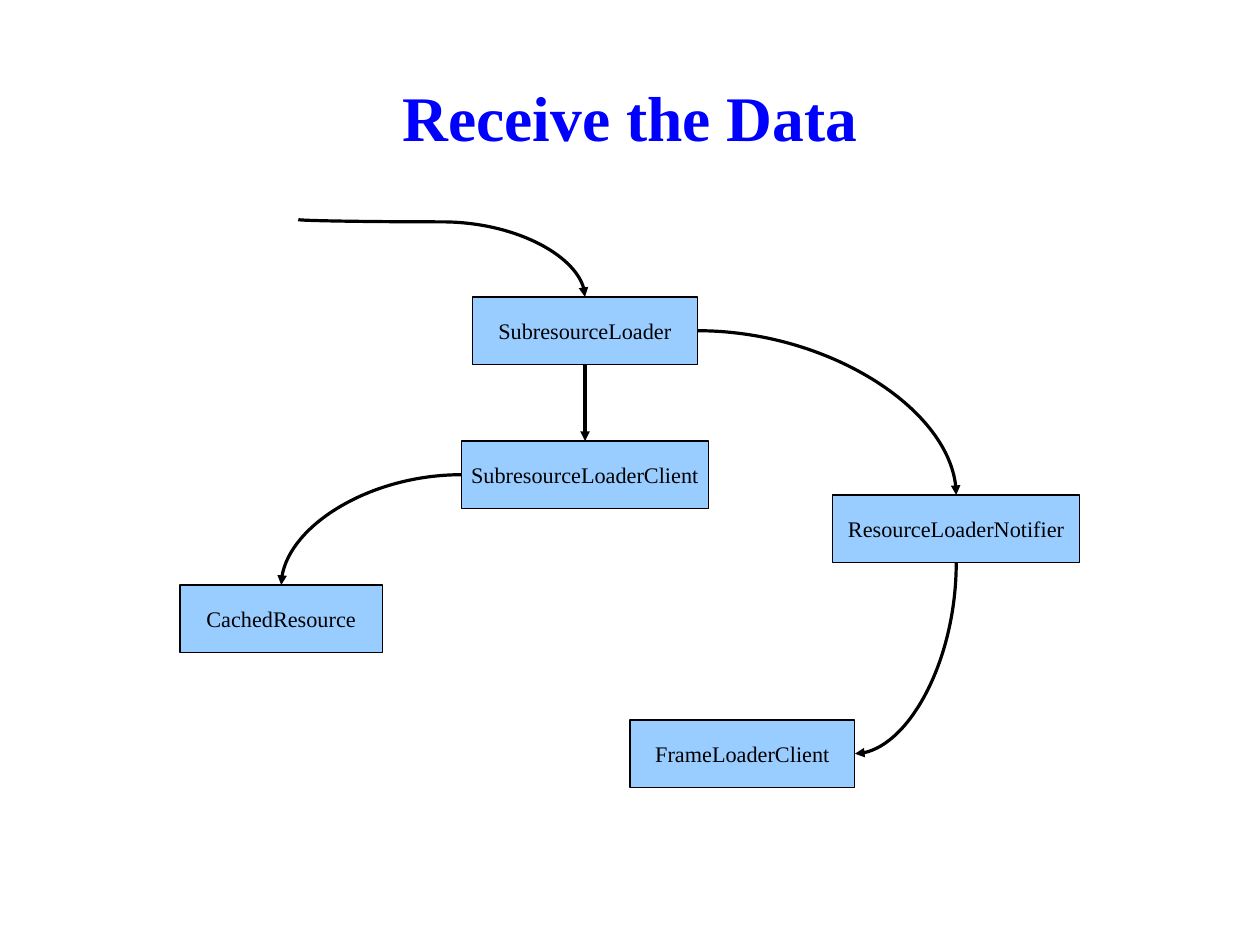
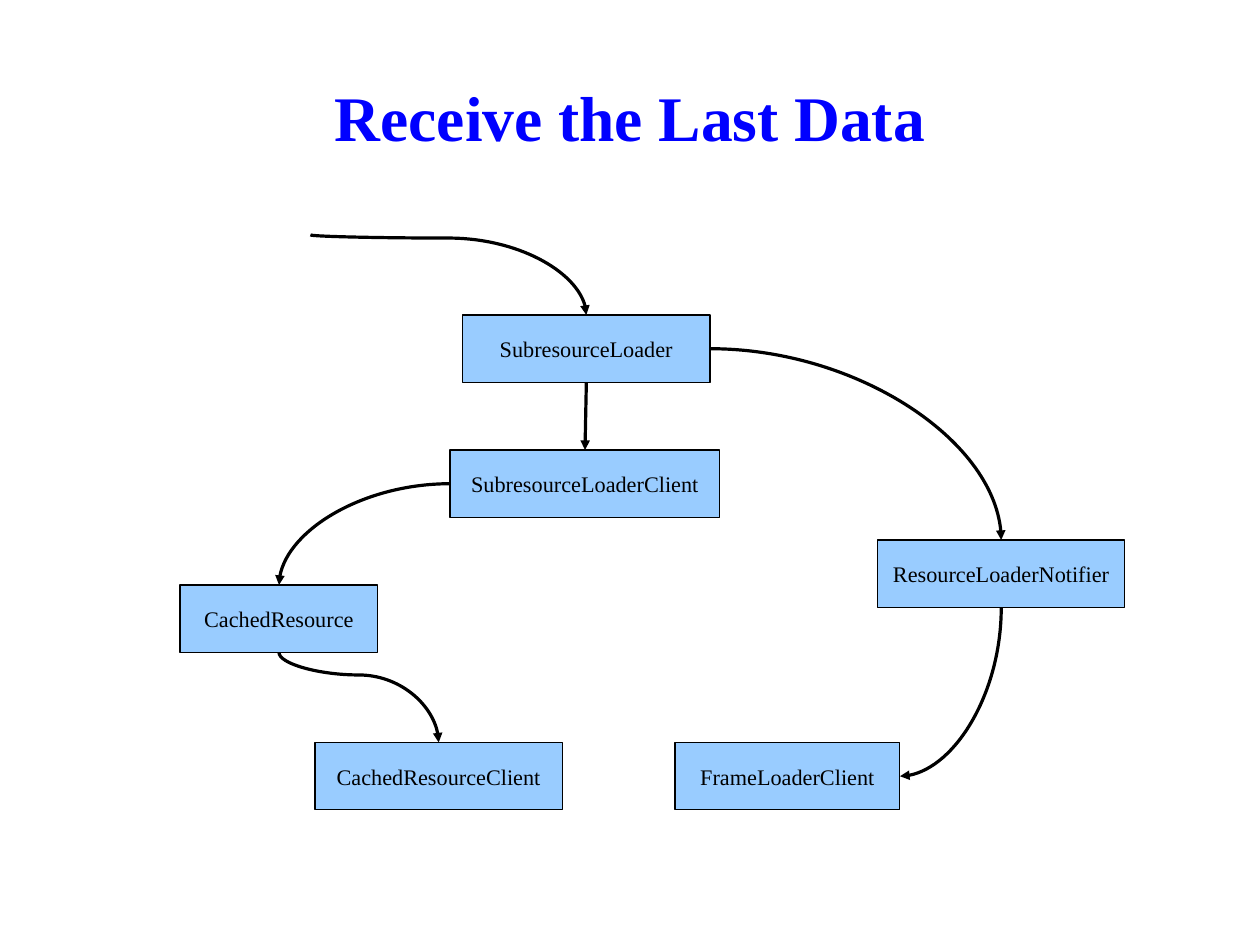
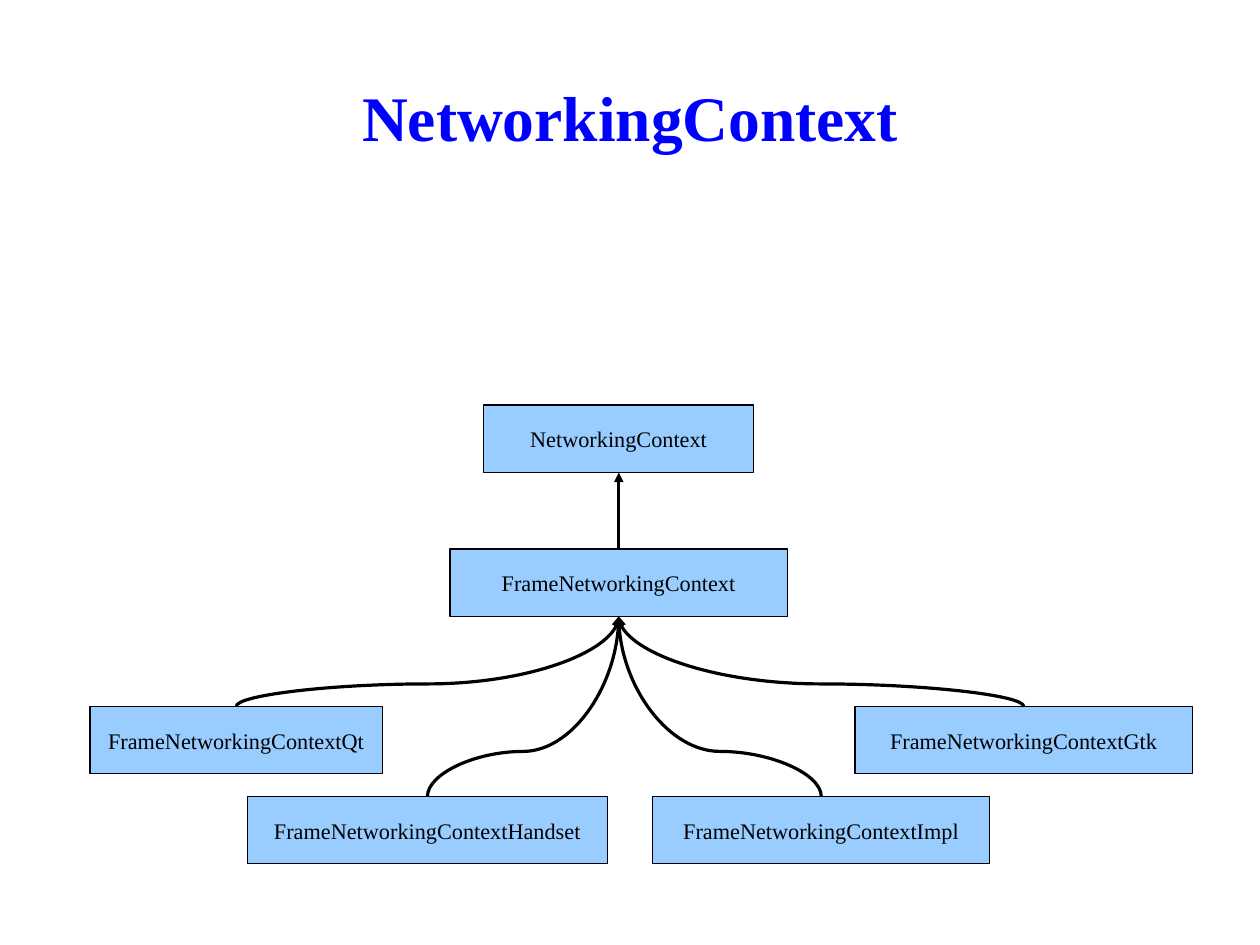
from dataclasses import dataclass
from enum import IntEnum

from lxml.etree import SubElement
from pptx import Presentation
from pptx.dml.color import RGBColor
from pptx.enum.shapes import MSO_CONNECTOR, MSO_SHAPE
from pptx.enum.text import MSO_ANCHOR, MSO_AUTO_SIZE, PP_ALIGN
from pptx.oxml.ns import qn
from pptx.util import Cm, Pt


@dataclass(frozen=True)
class Theme:
    """Colours, type and common measures of the deck."""
    background: RGBColor = RGBColor(0xFF, 0xFF, 0xFF)
    title_color: RGBColor = RGBColor(0x00, 0x00, 0xFF)
    box_fill: RGBColor = RGBColor(0x99, 0xCC, 0xFF)
    ink: RGBColor = RGBColor(0x00, 0x00, 0x00)
    font: str = "Times New Roman"
    title_size: Pt = Pt(40)
    box_size: Pt = Pt(14)
    hairline: Pt = Pt(0)
    box_height: Cm = Cm(1.5)


class Side(IntEnum):
    """Connection sites of a rectangle."""
    TOP = 0
    LEFT = 1
    BOTTOM = 2
    RIGHT = 3


class DiagramDeck:
    """Draws titled diagram slides in one style."""

    def __init__(self, theme):
        """Open an empty deck of the right size."""
        self.theme = theme
        self.deck = Presentation()
        self.deck.slide_width, self.deck.slide_height = Cm(28), Cm(21)
        self.page = None

    def add_page(self, title):
        """Start a slide with a centred title."""
        layout = self.deck.slide_layouts.get_by_name("Title Only")
        self.page = self.deck.slides.add_slide(layout)
        background = self.page.background.fill
        background.solid()
        background.fore_color.rgb = self.theme.background
        box = self.page.shapes.title
        box.left, box.top, box.width, box.height = Cm(1.4), Cm(0.84), Cm(25.2), Cm(3.5)
        frame = box.text_frame
        frame.margin_left = frame.margin_right = frame.margin_top = frame.margin_bottom = 0
        self.set_text(frame, title, self.theme.title_size, self.theme.title_color, bold=True)

    def set_text(self, frame, text, size, color, bold=False):
        """Write one centred line into a text frame."""
        frame.text = text
        frame.auto_size = MSO_AUTO_SIZE.NONE
        frame.vertical_anchor = MSO_ANCHOR.MIDDLE
        para = frame.paragraphs[0]
        para.alignment = PP_ALIGN.CENTER
        for span in para.runs:
            span.font.name = self.theme.font
            span.font.size = size
            span.font.bold = bold
            span.font.color.rgb = color

    def add_box(self, text, left, top, width):
        """Add a class box; lengths are in centimetres."""
        box = self.page.shapes.add_shape(
            MSO_SHAPE.RECTANGLE, Cm(left), Cm(top), Cm(width), self.theme.box_height)
        box.shadow.inherit = False
        box.fill.solid()
        box.fill.fore_color.rgb = self.theme.box_fill
        self.style_line(box.line)
        box.text_frame.word_wrap = False
        self.set_text(box.text_frame, text, self.theme.box_size, self.theme.ink)
        return box

    def style_line(self, line):
        """Give a line the deck's colour and width."""
        line.color.rgb = self.theme.ink
        line.width = self.theme.hairline

    def add_arrow(self, start, start_side, end, end_side, kind=MSO_CONNECTOR.STRAIGHT):
        """Join two boxes, or a point and a box, with an arrow."""
        begin_x, begin_y = start if start_side is None else (start.left, start.top)
        arrow = self.page.shapes.add_connector(kind, begin_x, begin_y, end.left, end.top)
        if start_side is not None:
            arrow.begin_connect(start, start_side)
        arrow.end_connect(end, end_side)
        self.style_line(arrow.line)
        properties = arrow._element.spPr
        SubElement(properties.find(qn("a:ln")), qn("a:tailEnd"), type="triangle")
        SubElement(properties, qn("a:effectLst"))
        return arrow

    def add_curve(self, start, start_side, end, end_side, bend=None):
        """Add a quarter curve, or an S curve that turns at the share bend."""
        arrow = self.add_arrow(start, start_side, end, end_side, MSO_CONNECTOR.CURVE)
        across = arrow.end_x - arrow.begin_x
        down = arrow.end_y - arrow.begin_y
        middle_x = (arrow.begin_x + arrow.end_x) // 2
        middle_y = (arrow.begin_y + arrow.end_y) // 2
        width, height = abs(across), abs(down)
        if start_side in (Side.LEFT, Side.RIGHT):
            turn = 180 if across < 0 else 0
            flip_across, flip_down = False, across < 0
        else:
            width, height = height, width
            turn = 90 if across * down < 0 else 270
            flip_across, flip_down = across > 0, down < 0
        arrow.left, arrow.top = middle_x - width // 2, middle_y - height // 2
        arrow.width, arrow.height = width, height

        properties = arrow._element.spPr
        frame = properties.find(qn("a:xfrm"))
        frame.set("rot", str(turn * 60000))
        frame.set("flipH", str(int(flip_across)))
        frame.set("flipV", str(int(flip_down)))
        geometry = properties.find(qn("a:prstGeom"))
        if bend is None:
            geometry.set("prst", "curvedConnector2")
        else:
            SubElement(geometry.find(qn("a:avLst")), qn("a:gd"),
                       name="adj1", fmla=f"val {round(bend * 100000)}")


def add_loader_flow(slides, title, boxes, entry, entry_bend):
    """Draw the path of received data and return its boxes by name."""
    slides.add_page(title)
    flow = {name: slides.add_box(name, *place) for name, place in boxes.items()}
    loader, client = flow["SubresourceLoader"], flow["SubresourceLoaderClient"]
    notifier = flow["ResourceLoaderNotifier"]
    slides.add_curve(entry, None, loader, Side.TOP, entry_bend)
    slides.add_arrow(loader, Side.BOTTOM, client, Side.TOP)
    slides.add_curve(client, Side.LEFT, flow["CachedResource"], Side.TOP)
    slides.add_curve(loader, Side.RIGHT, notifier, Side.TOP)
    slides.add_curve(notifier, Side.BOTTOM, flow["FrameLoaderClient"], Side.RIGHT)
    return flow


def add_context_tree(slides):
    """Draw the class tree of the networking context."""
    slides.add_page("NetworkingContext")
    base = slides.add_box("NetworkingContext", 10.75, 9, 6)
    frame_context = slides.add_box("FrameNetworkingContext", 10, 12.2, 7.5)
    slides.add_arrow(frame_context, Side.TOP, base, Side.BOTTOM)
    upper, lower = 15.7, 17.7
    for suffix, left, top, width in (
            ("Qt", 2, upper, 6.5), ("Handset", 5.5, lower, 8),
            ("Impl", 14.5, lower, 7.5), ("Gtk", 19, upper, 7.5)):
        port = slides.add_box("FrameNetworkingContext" + suffix, left, top, width)
        slides.add_curve(port, Side.TOP, frame_context, Side.BOTTOM, bend=0.25)


def main():
    """Build and save the deck."""
    slides = DiagramDeck(Theme())
    add_loader_flow(slides, "Receive the Data", {
        "SubresourceLoaderClient": (10.25, 9.8, 5.5),
        "SubresourceLoader": (10.5, 6.6, 5),
        "CachedResource": (4, 13, 4.5),
        "FrameLoaderClient": (14, 16, 5),
        "ResourceLoaderNotifier": (18.5, 11, 5.5),
    }, entry=(Cm(6.63), Cm(4.88)), entry_bend=0.03)

    last = add_loader_flow(slides, "Receive the Last Data", {
        "SubresourceLoaderClient": (10, 10, 6),
        "CachedResource": (4, 13, 4.4),
        "SubresourceLoader": (10.28, 7, 5.5),
        "CachedResourceClient": (7, 16.5, 5.5),
        "FrameLoaderClient": (15, 16.5, 5),
        "ResourceLoaderNotifier": (19.5, 12, 5.5),
    }, entry=(Cm(6.9), Cm(5.22)), entry_bend=0.04)
    slides.add_curve(last["CachedResource"], Side.BOTTOM,
                     last["CachedResourceClient"], Side.TOP, bend=0.25)

    add_context_tree(slides)
    slides.deck.save("out.pptx")


main()
